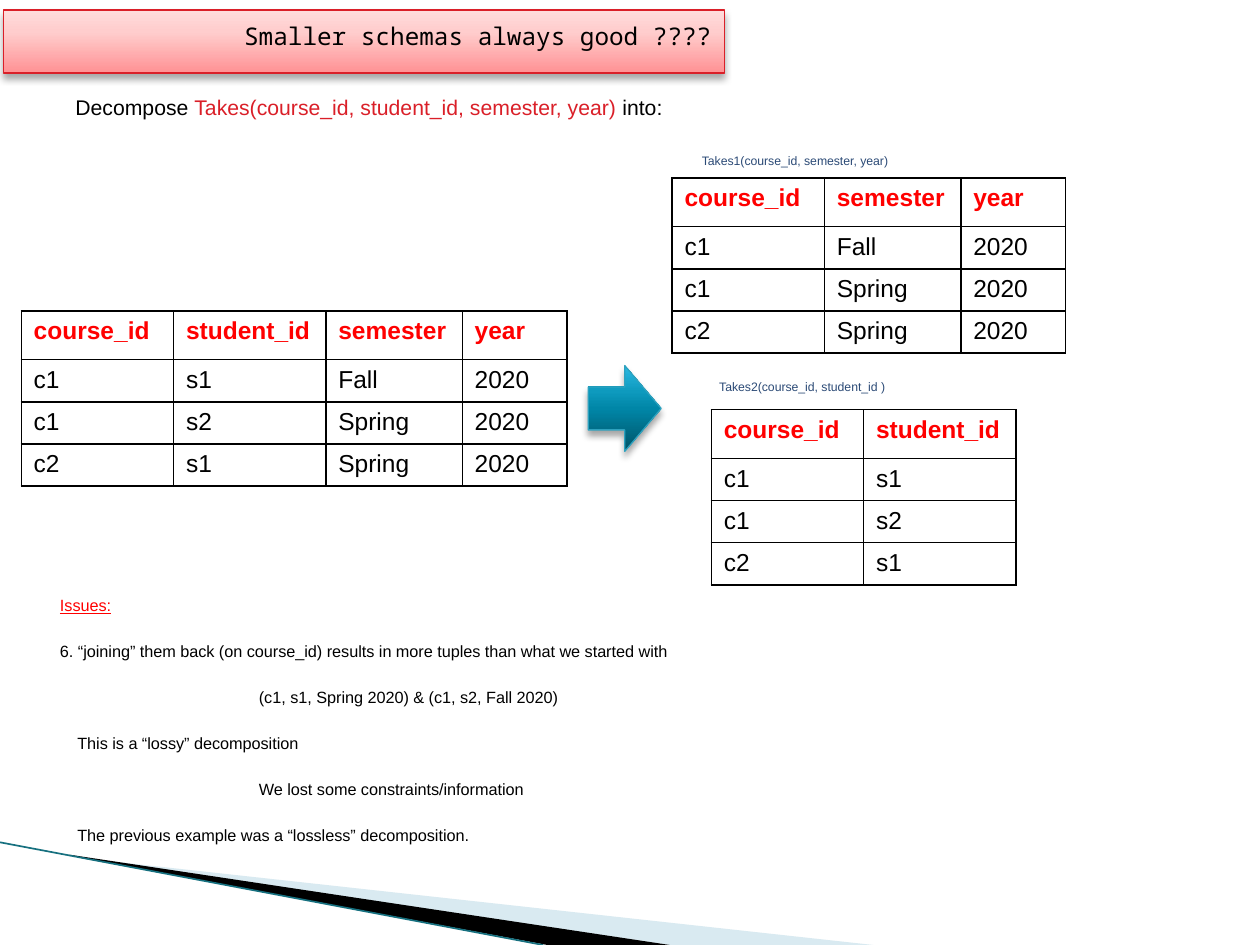
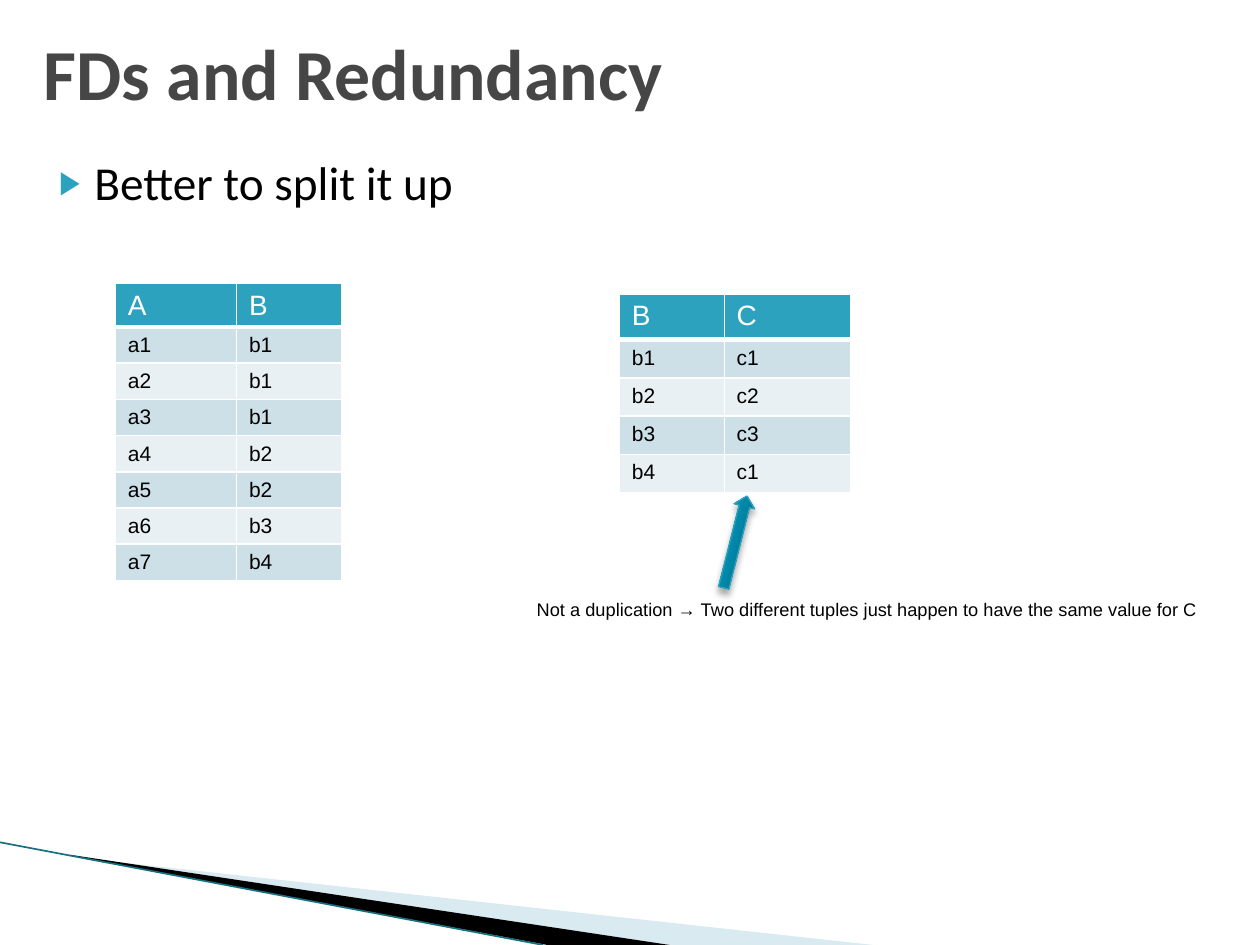
import pptx
import pptx.dml.color
import pptx.enum.shapes
import pptx.enum.text
import pptx.oxml
import pptx.oxml.ns
import pptx.util
from pptx.util import Cm, Pt

COLORS = {
    "ink": "000000", "white": "FFFFFF", "red": "FF0000", "crimson": "DA1F28",
    "navy": "2B4A76", "slate": "464646", "teal": "2DA2BF", "edge": "16707F",
    "pale": "A0CBDC", "odd_row": "CDE0E8", "even_row": "E8F0F4",
}
BANNER_STOPS = [(0, "FF9294"), (65, "FFCDCD"), (100, "FFDCDC")]
ARROW_STOPS = [(0, "005367"), (50, "0086A7"), (70, "0E9ABE"), (100, "2CB9E3")]
COLUMN_WIDTHS = {"course_id": 3.07, "student_id": 3.07, "semester": 2.75, "year": 2.11}
TAKES = [
    ("course_id", "student_id", "semester", "year"),
    ("c1", "s1", "Fall", "2020"),
    ("c1", "s2", "Spring", "2020"),
    ("c2", "s1", "Spring", "2020"),
]
ISSUES = [
    ("“joining” them back (on course_id) results in more tuples than what we started with", 0),
    ("(c1, s1, Spring 2020) & (c1, s2, Fall 2020)", 4.01),
    ("This is a “lossy” decomposition", 0.35),
    ("We lost some constraints/information", 4.01),
    ("The previous example was a “lossless” decomposition.", 0.35),
]
A_TO_B = [("A", "B"), ("a1", "b1"), ("a2", "b1"), ("a3", "b1"), ("a4", "b2"),
          ("a5", "b2"), ("a6", "b3"), ("a7", "b4")]
B_TO_C = [("B", "C"), ("b1", "c1"), ("b2", "c2"), ("b3", "c3"), ("b4", "c1")]


def rgb(name):
    return pptx.dml.color.RGBColor.from_string(COLORS[name])


def drawing_xml(tag, body):
    namespace = pptx.oxml.ns.nsdecls("a")
    return pptx.oxml.parse_xml(f"<a:{tag} {namespace}>{body}</a:{tag}>")


def write(paragraph, text, size=12, color="ink", font="Arial", bold=False,
          underline=False, align=None):
    """Add one formatted run to a paragraph."""
    run = paragraph.add_run()
    run.text = text
    run.font.size = Pt(size)
    run.font.name = font
    run.font.bold = bold
    run.font.underline = underline
    run.font.color.rgb = rgb(color)
    if align is not None:
        paragraph.alignment = align


def place(shape, box):
    shape.left, shape.top, shape.width, shape.height = (Cm(length) for length in box)


def set_margins(frame, left=0, top=0, right=0, bottom=0):
    frame.margin_left, frame.margin_top = Cm(left), Cm(top)
    frame.margin_right, frame.margin_bottom = Cm(right), Cm(bottom)


def add_text_area(slide, box, wrap=False):
    frame = slide.shapes.add_textbox(*(Cm(length) for length in box)).text_frame
    frame.word_wrap = wrap
    set_margins(frame)
    return frame


def add_label(slide, box, text, **text_format):
    write(add_text_area(slide, box).paragraphs[0], text, **text_format)


def style_glossy(shape, stops, outline):
    """Give a shape an upward gradient, a thin outline and a soft shadow."""
    shape.fill.gradient()
    shape.fill.gradient_angle = 90
    properties = shape.element.spPr
    stop_list = properties.find(".//" + pptx.oxml.ns.qn("a:gsLst"))
    body = "".join(f'<a:gs pos="{position * 1000}"><a:srgbClr val="{color}"/></a:gs>'
                   for position, color in stops)
    stop_list.getparent().replace(stop_list, drawing_xml("gsLst", body))
    shape.line.color.rgb = rgb(outline)
    shape.line.width = Pt(0.75)
    shape.shadow.inherit = False
    effects = properties.find(pptx.oxml.ns.qn("a:effectLst"))
    shadow = drawing_xml("outerShdw", '<a:srgbClr val="000000"><a:alpha val="35000"/></a:srgbClr>')
    for key, value in (("blurRad", Pt(4)), ("dist", Pt(3)), ("dir", 5400000)):
        shadow.set(key, str(int(value)))
    effects.append(shadow)


def add_block_arrow(slide, box, rotation=0):
    arrow = slide.shapes.add_shape(pptx.enum.shapes.MSO_SHAPE.RIGHT_ARROW,
                                   *(Cm(length) for length in box))
    arrow.rotation = rotation
    style_glossy(arrow, ARROW_STOPS, "teal")


def set_borders(cell, color, bottom_width=1):
    properties = cell._tc.get_or_add_tcPr()
    for side in "LRTB":
        border = drawing_xml(
            f"ln{side}", f'<a:solidFill><a:srgbClr val="{COLORS[color]}"/></a:solidFill>')
        border.set("w", str(Pt(bottom_width if side == "B" else 1)))
        properties.append(border)


def add_grid(slide, left, top, rows, widths, header_height, row_height, style_cell):
    """Add a table; style_cell(cell, row_index, text) formats each cell."""
    total_height = header_height + row_height * (len(rows) - 1)
    grid = slide.shapes.add_table(len(rows), len(widths), Cm(left), Cm(top),
                                  Cm(sum(widths)), Cm(total_height)).table
    grid.first_row = grid.horz_banding = False
    for column, width in zip(grid.columns, widths):
        column.width = Cm(width)
    for index, values in enumerate(rows):
        grid.rows[index].height = Cm(row_height if index else header_height)
        for column, text in enumerate(values):
            cell = grid.cell(index, column)
            set_margins(cell, 0.25, 0.13, 0.1, 0.05)
            style_cell(cell, index, text)


def style_relation_cell(cell, index, text):
    set_borders(cell, "ink")
    cell.fill.background()
    write(cell.text_frame.paragraphs[0], text, size=14,
          color="ink" if index else "red", bold=index == 0)


def style_banded_cell(cell, index, text):
    set_borders(cell, "white", bottom_width=1 if index else 3)
    cell.fill.solid()
    band = "odd_row" if index % 2 else "even_row"
    cell.fill.fore_color.rgb = rgb(band if index else "teal")
    write(cell.text_frame.paragraphs[0], text, size=12 if index else 16,
          color="ink" if index else "white")


def add_relation(slide, left, top, names):
    """Show the projection of TAKES onto the named columns."""
    picked = [TAKES[0].index(name) for name in names]
    rows = [[row[column] for column in picked] for row in TAKES]
    add_grid(slide, left, top, rows, [COLUMN_WIDTHS[name] for name in names],
             0.98, 0.85, style_relation_cell)


def add_wedge(slide, points, color, opacity=100):
    builder = slide.shapes.build_freeform(Cm(points[0][0]), Cm(points[0][1]))
    builder.add_line_segments([(Cm(x), Cm(y)) for x, y in points[1:]])
    wedge = builder.convert_to_shape()
    wedge.shadow.inherit = False
    wedge.fill.solid()
    wedge.fill.fore_color.rgb = rgb(color)
    wedge.line.fill.background()
    if opacity < 100:
        fill_color = wedge.element.spPr.find(".//" + pptx.oxml.ns.qn("a:srgbClr"))
        alpha = drawing_xml("alpha", "")
        alpha.set("val", str(opacity * 1000))
        fill_color.append(alpha)
    return wedge


def decorate_master(master, slide):
    """Draw the corner wedges on a slide and move them to its master."""
    tip, floor = (1.65, 17.3), 19.05
    pale = add_wedge(slide, [tip, (17.6, floor), (13.5, floor)], "pale", 40)
    dark = add_wedge(slide, [(1.4, 17.23), (13.5, floor), (11.03, floor), tip], "ink")
    edge = slide.shapes.add_connector(pptx.enum.shapes.MSO_CONNECTOR.STRAIGHT,
                                      Cm(0), Cm(16.98), Cm(10.95), Cm(floor))
    edge.line.color.rgb = rgb("edge")
    edge.line.width = Pt(0.95)
    edge.element.spPr.append(drawing_xml("effectLst", ""))
    for number, part in enumerate((pale, dark, edge), start=101):
        part.element.xpath(".//p:cNvPr")[0].set("id", str(number))
        master.shapes.element.append(part.element)


def add_banner(title, box):
    place(title, box)
    style_glossy(title, BANNER_STOPS, "crimson")
    frame = title.text_frame
    frame.auto_size = pptx.enum.text.MSO_AUTO_SIZE.NONE
    frame.vertical_anchor = pptx.enum.text.MSO_ANCHOR.TOP
    set_margins(frame, 0.25, 0.22, 0.25, 0.1)
    write(frame.paragraphs[0], "Smaller schemas always good ????", size=13.9,
          font="Noto Sans Mono", align=pptx.enum.text.PP_ALIGN.RIGHT)


def add_issues(slide, box):
    frame = add_text_area(slide, box, wrap=True)
    heading = frame.paragraphs[0]
    write(heading, "Issues:", size=9.3, color="red", underline=True)
    for number, (text, indent) in enumerate(ISSUES):
        paragraph = frame.add_paragraph()
        paragraph._p.get_or_add_pPr().set("marL", str(Cm(indent)))
        write(paragraph, text if number else f"6. {text}", size=9.3)
    for paragraph in frame.paragraphs:
        paragraph.space_after = Pt(15.1)


def build_decomposition(slide):
    add_banner(slide.shapes.title, (0.07, 0.2, 14.53, 1.27))
    task = add_text_area(slide, (1.52, 1.91, 16, 0.6)).paragraphs[0]
    for text, color in (("Decompose ", "ink"),
                        ("Takes(course_id, student_id, semester, year) ", "crimson"),
                        ("into:", "ink")):
        write(task, text, size=12.1, color=color)
    add_relation(slide, 0.43, 6.27, TAKES[0])
    add_block_arrow(slide, (11.86, 7.37, 1.47, 1.73))
    add_label(slide, (14.15, 3.1, 6, 0.35), "Takes1(course_id, semester, year)",
              size=7, color="navy")
    add_relation(slide, 13.55, 3.59, ("course_id", "semester", "year"))
    add_label(slide, (14.5, 7.64, 6, 0.35), "Takes2(course_id, student_id )",
              size=7, color="navy")
    add_relation(slide, 14.34, 8.26, ("course_id", "student_id"))
    add_issues(slide, (1.21, 12, 23, 5.5))


def fill_title_and_bullet(slide, title_text, bullet_text):
    title, body = slide.shapes.title, slide.placeholders[1]
    place(title, (0.63, 0.43, 23.5, 2.03))
    title.text_frame.vertical_anchor = pptx.enum.text.MSO_ANCHOR.MIDDLE
    write(title.text_frame.paragraphs[0], title_text, size=41, color="slate",
          font="Calibri", bold=True, align=pptx.enum.text.PP_ALIGN.LEFT)
    place(body, (0.63, 2.97, 23.5, 14.17))
    point = body.text_frame.paragraphs[0]
    write(point, bullet_text, size=27, font="Calibri")
    point.space_before = Pt(4)
    properties = point._p.get_or_add_pPr()
    properties.set("marL", str(Cm(1.02)))
    properties.set("indent", str(Cm(-0.71)))
    bullet_color = drawing_xml("buClr", f'<a:srgbClr val="{COLORS["teal"]}"/>')
    bullet_size = drawing_xml("buSzPct", "")
    bullet_size.set("val", "68000")
    bullet = drawing_xml("buChar", "")
    bullet.set("char", "▶")
    properties.extend([bullet_color, bullet_size, bullet])


def build_redundancy(slide):
    fill_title_and_bullet(slide, "FDs and Redundancy", "Better to split it up")
    add_grid(slide, 2.33, 5.72, A_TO_B, (2.44, 2.11), 0.87, 0.73, style_banded_cell)
    add_label(slide, (10.82, 12.07, 14, 0.5),
              "Not a duplication → Two different tuples just happen to have the same value for C",
              size=10.4)
    add_block_arrow(slide, (13.87, 10.71, 1.91, 0.43), rotation=284.2)
    add_grid(slide, 12.49, 5.93, B_TO_C, (2.11, 2.54), 0.92, 0.77, style_banded_cell)


def main():
    deck = pptx.Presentation()
    deck.slide_width, deck.slide_height = Cm(25.4), Cm(19.05)
    decomposition = deck.slides.add_slide(deck.slide_layouts[5])
    decorate_master(deck.slide_master, decomposition)
    build_decomposition(decomposition)
    build_redundancy(deck.slides.add_slide(deck.slide_layouts[1]))
    deck.save("out.pptx")


if __name__ == "__main__":
    main()
